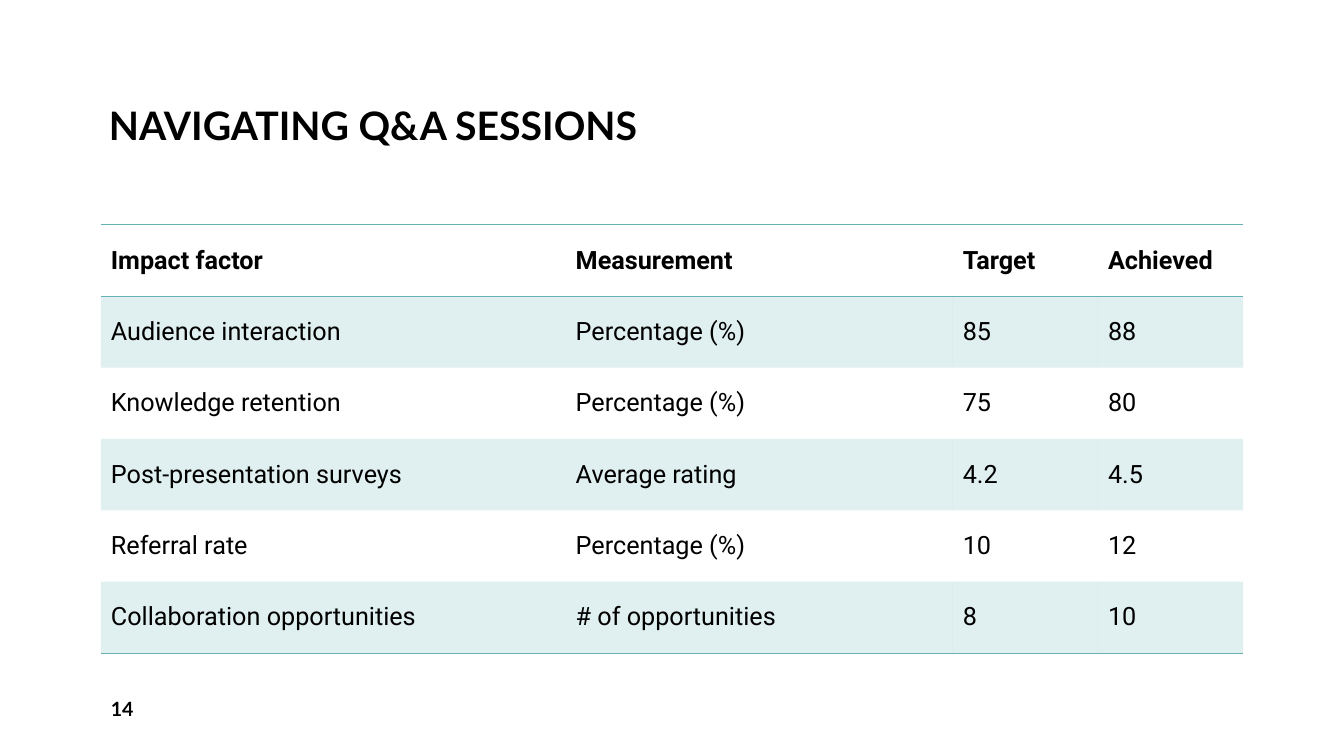
from lxml.etree import SubElement
from pptx import Presentation
from pptx.dml.color import RGBColor
from pptx.enum.text import MSO_ANCHOR, PP_ALIGN
from pptx.oxml.ns import qn
from pptx.util import Inches, Pt

COLORS = {"ink": "000000", "teal": "66B2B0", "paper": "FFFFFF"}
BAND_ALPHA = 20
COLUMN_WIDTHS = [4.61, 3.84, 1.44, 1.44]
IMPACT_ROWS = [
    ["Impact factor", "Measurement", "Target", "Achieved"],
    ["Audience interaction", "Percentage (%)", "85", "88"],
    ["Knowledge retention", "Percentage (%)", "75", "80"],
    ["Post-presentation surveys", "Average rating", "4.2", "4.5"],
    ["Referral rate", "Percentage (%)", "10", "12"],
    ["Collaboration opportunities", "# of opportunities", "8", "10"],
]


def rgb(name):
    return RGBColor.from_string(COLORS[name])


def write_text(frame, text, font="Roboto", size=18, bold=False,
               anchor=MSO_ANCHOR.MIDDLE, line_spacing=None):
    frame.word_wrap = True
    frame.vertical_anchor = anchor
    paragraph = frame.paragraphs[0]
    paragraph.alignment = PP_ALIGN.LEFT
    paragraph.line_spacing = line_spacing
    run = paragraph.add_run()
    run.text = text
    run.font.name = font
    run.font.size = Pt(size)
    run.font.bold = bold
    run.font.color.rgb = rgb("ink")


def set_borders(cell, ruled_sides):
    properties = cell._tc.get_or_add_tcPr()
    for side in "LRTB":
        border = SubElement(properties, qn(f"a:ln{side}"), w=str(Pt(1)))
        if side in ruled_sides:
            fill = SubElement(border, qn("a:solidFill"))
            SubElement(fill, qn("a:srgbClr"), val=COLORS["teal"])
        else:
            SubElement(border, qn("a:noFill"))


def fill_band(cell):
    cell.fill.solid()
    cell.fill.fore_color.rgb = rgb("teal")
    color = cell._tc.tcPr.find(qn("a:solidFill")).find(qn("a:srgbClr"))
    SubElement(color, qn("a:alpha"), val=str(BAND_ALPHA * 1000))


def add_title(slide, left, top, width, height):
    title = slide.shapes.title
    title.left, title.top = Inches(left), Inches(top)
    title.width, title.height = Inches(width), Inches(height)
    write_text(title.text_frame, "NAVIGATING Q&A SESSIONS", font="Lato", size=28,
               bold=True, anchor=MSO_ANCHOR.BOTTOM, line_spacing=0.9)


def add_impact_table(slide, left, top, width, height):
    row_count = len(IMPACT_ROWS)
    table = slide.shapes.add_table(
        row_count, len(COLUMN_WIDTHS),
        Inches(left), Inches(top), Inches(width), Inches(height)).table
    table.horz_banding = False
    for column, column_width in zip(table.columns, COLUMN_WIDTHS):
        column.width = Inches(column_width)
    for row_index, values in enumerate(IMPACT_ROWS):
        is_header = row_index == 0
        ruled_sides = ("T" if row_index <= 1 else "") + (
            "B" if row_index in (0, row_count - 1) else "")
        for column_index, value in enumerate(values):
            cell = table.cell(row_index, column_index)
            write_text(cell.text_frame, value, bold=is_header)
            cell.vertical_anchor = MSO_ANCHOR.MIDDLE
            set_borders(cell, ruled_sides)
            if row_index % 2:
                fill_band(cell)
            else:
                cell.fill.background()


def add_page_number(slide, left, top, width, height):
    page_number = slide.shapes.add_textbox(
        Inches(left), Inches(top), Inches(width), Inches(height))
    write_text(page_number.text_frame, "14", font="Lato", size=14, bold=True)


def main():
    deck = Presentation()
    deck.slide_width, deck.slide_height = Inches(13.33), Inches(7.5)
    slide = deck.slides.add_slide(deck.slide_layouts.get_by_name("Title Only"))
    slide.background.fill.solid()
    slide.background.fill.fore_color.rgb = rgb("paper")
    add_title(slide, 0.98, 0.08, 11.38, 1.45)
    add_impact_table(slide, 1, 2.23, sum(COLUMN_WIDTHS), 4.25)
    add_page_number(slide, 1, 6.83, 2.92, 0.4)
    deck.save("out.pptx")


if __name__ == "__main__":
    main()
